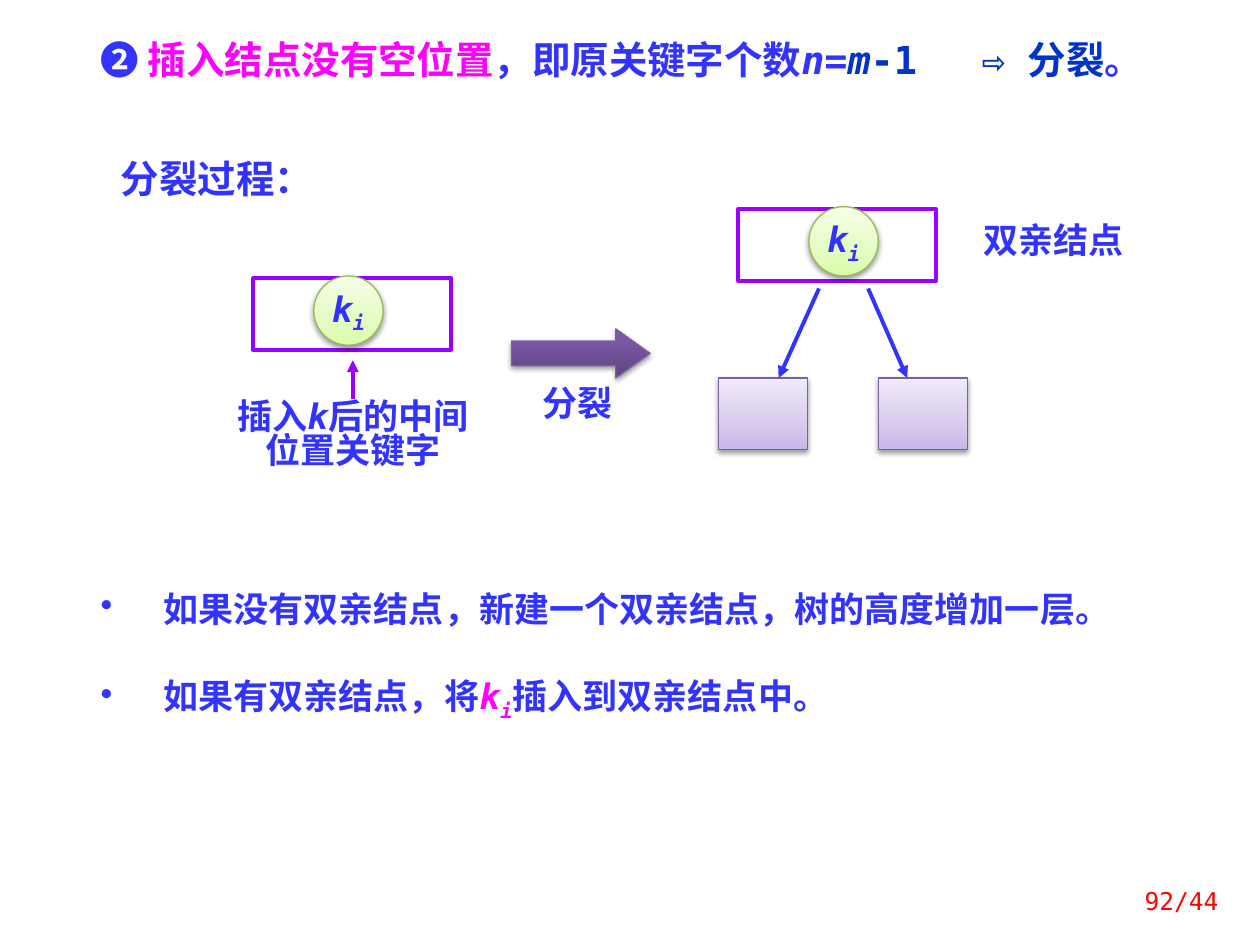
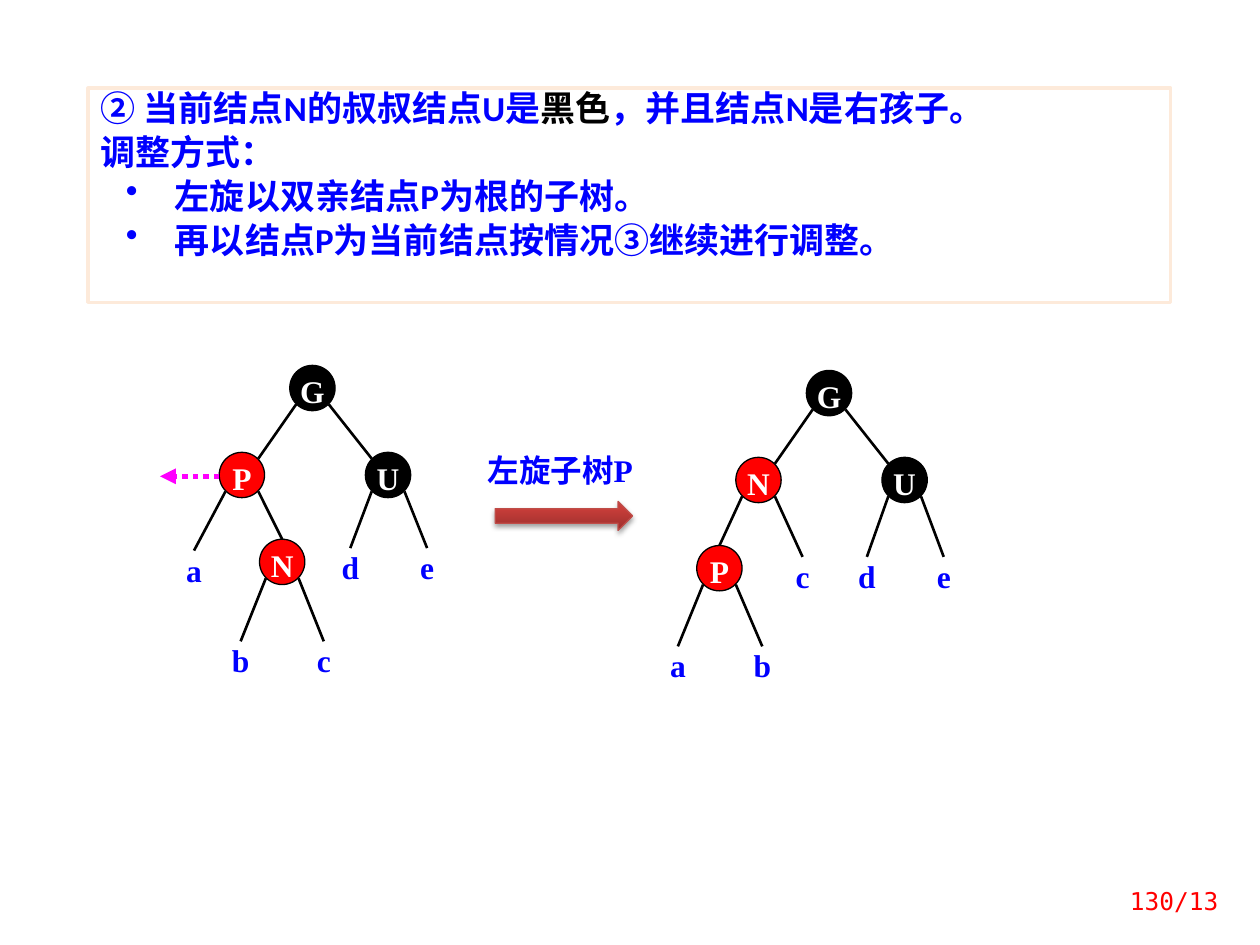
import copy
import dataclasses

import lxml.etree
import pptx
import pptx.dml.color
import pptx.enum.dml
import pptx.enum.shapes
import pptx.enum.text
import pptx.oxml.ns
import pptx.util

SHAPES = pptx.enum.shapes.MSO_SHAPE
ALIGN = pptx.enum.text.PP_ALIGN
ANCHOR = pptx.enum.text.MSO_ANCHOR
qn = pptx.oxml.ns.qn

# The slide is a grid of 100 columns by 75 rows of square cells
WIDTH, HEIGHT, COLUMNS = pptx.util.Inches(10), pptx.util.Inches(7.5), 100


@dataclasses.dataclass(frozen=True)
class Style:
    font: str
    size: int
    color: str
    bold: bool = True
    italic: bool = False
    baseline: int = 0


@dataclasses.dataclass(frozen=True)
class Theme:
    white: str = "FFFFFF"
    black: str = "000000"
    red: str = "FF0000"
    magenta: str = "FF00FF"
    indigo: str = "3333FF"
    navy: str = "0033CC"
    violet: str = "9900FF"
    plum: str = "7D60A0"
    peach: str = "FDEADA"
    heading: Style = Style("DejaVu Sans Mono", 22, "3333FF")
    body: Style = Style("DejaVu Sans Mono", 20, "3333FF")
    rule: Style = Style("Calibri", 20, "0000FF")
    label: Style = Style("Times New Roman", 18, "0000FF")
    page: Style = Style("DejaVu Sans Mono", 14, "FF0000", bold=False)
    # Gradient stops: position and colour, from bottom to top
    key_fill: tuple = ((0, "DAFDA7"), (0.35, "E4FCC2"), (1, "F5FFE7"))
    child_fill: tuple = ((0, "C9B5E8"), (0.35, "D8CBEE"), (1, "F0EAF9"))
    split_fill: tuple = ((0, "5F4480"), (0.8, "7B58A6"), (1, "7C57A8"))
    rotate_fill: tuple = ((0, "9C2F2D"), (0.8, "CB3E3A"), (1, "CE3B37"))


THEME = Theme()


@dataclasses.dataclass(frozen=True)
class Node:
    """A tree node, placed relative to its parent; a leaf has no fill."""
    name: str
    across: float
    down: float
    fill: str = ""
    children: tuple = ()


def grid(*cells):
    return [round(WIDTH / COLUMNS * cell) for cell in cells]


def rgb(color):
    return pptx.dml.color.RGBColor.from_string(color)


# Text
def add_runs(paragraph, runs, style):
    for text, changes in runs:
        look = dataclasses.replace(style, **changes)
        run = paragraph.add_run()
        run.text = text
        run.font.name, run.font.size = look.font, pptx.util.Pt(look.size)
        run.font.bold, run.font.italic = look.bold, look.italic
        run.font.color.rgb = rgb(look.color)
        if look.baseline:
            run.font._element.set("baseline", str(look.baseline * 1000))


def add_paragraph(frame, runs, style, align=ALIGN.LEFT, spacing=0.8, before=0,
                  hanging=None, tab=None):
    first = frame.paragraphs[0]
    paragraph = frame.add_paragraph() if first.runs else first
    properties = paragraph._p.get_or_add_pPr()
    if hanging:
        margin, indent = grid(*hanging)
        properties.set("marL", str(margin))
        properties.set("indent", str(-indent))
        lxml.etree.SubElement(properties, qn("a:buChar"), char="•")
    if tab:
        tabs = lxml.etree.SubElement(properties, qn("a:tabLst"))
        lxml.etree.SubElement(tabs, qn("a:tab"), pos=str(grid(tab)[0]), algn="l")
    paragraph.alignment, paragraph.line_spacing = align, spacing
    paragraph.space_before = pptx.util.Pt(before if paragraph is not first else 0)
    add_runs(paragraph, runs, style)


def prepare_frame(shape, anchor=ANCHOR.TOP, wrap=True, inset=True):
    frame = shape.text_frame
    frame.word_wrap, frame.vertical_anchor = wrap, anchor
    if not inset:
        frame.margin_left = frame.margin_right = 0
        frame.margin_top = frame.margin_bottom = 0
    return frame


def add_text(slide, place, runs, style, anchor=ANCHOR.TOP, inset=True, **layout):
    frame = prepare_frame(slide.shapes.add_textbox(*grid(*place)), anchor, inset=inset)
    add_paragraph(frame, runs, style, **layout)


def add_page_number(slide, text):
    add_text(slide, (86.3, 69.5, 11.4, 4), [(text, {})], THEME.page,
             anchor=ANCHOR.MIDDLE, align=ALIGN.RIGHT, spacing=1)


# Shapes and lines
def add_box(slide, kind, place, fill, line, weight=0.75):
    shape = slide.shapes.add_shape(kind, *grid(*place))
    shape.shadow.inherit = False
    shape.fill.solid()
    shape.fill.fore_color.rgb = rgb(fill)
    shape.line.color.rgb = rgb(line)
    shape.line.width = pptx.util.Pt(weight)
    return shape


def add_glossy(slide, kind, place, stops, line):
    """A shape with an upward gradient and a soft shadow below it."""
    shape = add_box(slide, kind, place, stops[0][1], line)
    shape.fill.gradient()
    shape.fill.gradient_angle = 90
    properties = shape._element.spPr
    stop_list = properties.find(".//" + qn("a:gsLst"))
    stop_list.append(copy.deepcopy(stop_list[0]))
    for stop, (position, color) in zip(shape.fill.gradient_stops, stops):
        stop.position, stop.color.rgb = position, rgb(color)
    shadow = lxml.etree.SubElement(
        properties.find(qn("a:effectLst")), qn("a:outerShdw"),
        blurRad=str(pptx.util.Pt(3.1)), dist=str(pptx.util.Pt(1.7)),
        dir="5400000", rotWithShape="0")
    tint = lxml.etree.SubElement(shadow, qn("a:srgbClr"), val=THEME.black)
    lxml.etree.SubElement(tint, qn("a:alpha"), val="38000")
    return shape


def add_line(slide, start, end, color, weight, arrow=False, dash=None):
    connector = slide.shapes.add_connector(
        pptx.enum.shapes.MSO_CONNECTOR.STRAIGHT, *grid(*start, *end))
    connector.line.color.rgb = rgb(color)
    connector.line.width = pptx.util.Pt(weight)
    if dash:
        connector.line.dash_style = dash
    if arrow:
        lxml.etree.SubElement(connector.line._get_or_add_ln(), qn("a:tailEnd"),
                              type="triangle")
    lxml.etree.SubElement(connector._element.spPr, qn("a:effectLst"))


# Parts of the split diagram
def key_runs(**changes):
    italic = dict(changes, italic=True)
    return [("k", italic), ("i", dict(italic, baseline=-25))]


def add_key_node(slide, left, top, key_offset):
    add_box(slide, SHAPES.RECTANGLE, (left, top, 15.7, 5.7),
            THEME.white, THEME.violet, 2.25)
    key = add_glossy(slide, SHAPES.OVAL, (left + key_offset, top - 0.2, 5.5, 5.5),
                     THEME.key_fill, "98B955")
    add_paragraph(prepare_frame(key, ANCHOR.MIDDLE, wrap=False), key_runs(),
                  THEME.body, ALIGN.CENTER)


# Parts of the rotation diagram
def add_tree(slide, node, x, y):
    """Draw a subtree: circles are placed by centre, leaves by top centre."""
    radius, shoulder = 1.8, 1.3
    if not node.fill:
        add_text(slide, (x - 0.95, y, 1.9, 2.6), [(node.name, {})], THEME.label,
                 inset=False, align=ALIGN.CENTER, spacing=1)
        return
    circle = add_box(slide, SHAPES.OVAL,
                     (x - radius, y - radius, 2 * radius, 2 * radius),
                     node.fill, THEME.black)
    add_paragraph(prepare_frame(circle, inset=False),
                  [(node.name, {"color": THEME.white})], THEME.label,
                  ALIGN.CENTER, spacing=1)
    for child in node.children:
        child_x, child_y = x + child.across, y + child.down
        side = 1 if child.across > 0 else -1
        if not child.fill:
            end = child_x, child_y
        elif abs(child.across) > 4:  # wide branches meet the shoulder
            end = child_x - side * shoulder, child_y - shoulder
        else:
            end = child_x, child_y - radius
        add_line(slide, (x + side * shoulder, y + shoulder), end, THEME.black, 1.5)
        add_tree(slide, child, child_x, child_y)


def build_split_slide(presentation):
    slide = presentation.slides.add_slide(presentation.slide_layouts[5])
    title = slide.shapes.title
    title.left, title.top, title.width, title.height = grid(7, 3.1, 87.5, 4.7)
    navy = {"color": THEME.navy}
    add_paragraph(prepare_frame(title), [
        ("❷ ", {}), ("插入结点没有空位置", {"color": THEME.magenta}),
        ("，即原关键字个数", {}), ("n=", {"italic": True}),
        ("m", dict(navy, italic=True)), ("-1\t⇨ 分裂", navy), ("。", {}),
    ], THEME.heading, tab=69.9)
    add_text(slide, (8.6, 12.5, 21.9, 4.7), [("分裂过程：", {})], THEME.heading)

    # Full node before the split
    add_key_node(slide, 20.1, 22.1, 4.8)
    add_line(slide, (28, 31.7), (28, 28.6), THEME.violet, 2.25, arrow=True)
    add_text(slide, (16.6, 31.5, 22.8, 7.7),
             [("插入", {}), ("k", {"italic": True}), ("后的中间位置关键字", {})],
             THEME.body, align=ALIGN.CENTER)

    # Split arrow
    arrow = add_glossy(slide, SHAPES.RIGHT_ARROW, (40.6, 26.1, 11, 3.9),
                       THEME.split_fill, THEME.plum)
    arrow.adjustments[1] = 0.7
    add_text(slide, (42.1, 30.4, 9.4, 4.3), [("分裂", {})], THEME.body)

    # Parent with its two halves
    add_key_node(slide, 58.6, 16.6, 5.6)
    add_text(slide, (75, 17.5, 17.2, 4.4), [("双亲结点", {})], THEME.body,
             align=ALIGN.CENTER)
    for left, start, end in ((57, 65, 61.8), (69.7, 68.9, 72)):
        add_glossy(slide, SHAPES.RECTANGLE, (left, 30, 7.1, 5.7),
                   THEME.child_fill, THEME.plum)
        add_line(slide, (start, 22.9), (end, 30), THEME.indigo, 2.25, arrow=True)

    # Two cases
    cases = prepare_frame(slide.shapes.add_textbox(*grid(7, 44.5, 89.8, 11.1)))
    for runs in (
        [("如果没有双亲结点，新建一个双亲结点，树的高度增加一层。", {})],
        [("如果有双亲结点，将", {}), *key_runs(color=THEME.magenta),
         ("插入到双亲结点中。", {})],
    ):
        add_paragraph(cases, runs, THEME.body, spacing=1.5, before=12, hanging=(5, 5))
    add_page_number(slide, "92/44")


def build_rotation_slide(presentation):
    slide = presentation.slides.add_slide(presentation.slide_layouts[6])

    # Rule box
    box = add_box(slide, SHAPES.RECTANGLE, (7, 7, 85.9, 17),
                  THEME.white, THEME.peach, 2)
    frame = prepare_frame(box)
    hanging = (5.9, 3.9)
    for runs, indent in (
        ([("② 当前结点N的叔叔结点U是", {}), ("黑色", {"color": THEME.black}),
          ("，并且结点N是右孩子。", {})], None),
        ([("调整方式：", {})], None),
        ([("左旋以双亲结点P为根的子树。", {})], hanging),
        ([("再以结点P为当前结点按情况③继续进行调整。", {})], hanging),
    ):
        add_paragraph(frame, runs, THEME.rule, before=6, hanging=indent)

    # Trees before and after the rotation
    before = Node("G", 0, 0, THEME.black, (
        Node("P", -5.6, 6.9, THEME.red, (
            Node("a", -3.8, 6),
            Node("N", 3.2, 6.9, THEME.red,
                 (Node("b", -3.3, 6.3), Node("c", 3.3, 6.3))))),
        Node("U", 6, 6.9, THEME.black, (Node("d", -3, 5.8), Node("e", 3.1, 5.8)))))
    after = Node("G", 0, 0, THEME.black, (
        Node("N", -5.6, 6.9, THEME.red, (
            Node("P", -3.1, 7, THEME.red,
                 (Node("a", -3.3, 6.2), Node("b", 3.4, 6.2))),
            Node("c", 3.5, 6.1))),
        Node("U", 6, 6.9, THEME.black, (Node("d", -3, 6.1), Node("e", 3.1, 6.1)))))
    add_tree(slide, before, 24.8, 30.8)
    add_tree(slide, after, 65.8, 31.2)

    # Rotation marks
    add_line(slide, (17.4, 37.8), (12.7, 37.8), THEME.magenta, 3, arrow=True,
             dash=pptx.enum.dml.MSO_LINE.ROUND_DOT)
    add_text(slide, (38.7, 35.8, 12.8, 2.6), [("左旋子树P", {})], THEME.label,
             inset=False, spacing=1)
    add_glossy(slide, SHAPES.RIGHT_ARROW, (39.3, 39.8, 10.9, 2.3),
               THEME.rotate_fill, "BF4C48")
    add_page_number(slide, "130/13")


def main():
    presentation = pptx.Presentation()
    presentation.slide_width, presentation.slide_height = WIDTH, HEIGHT
    build_split_slide(presentation)
    build_rotation_slide(presentation)
    presentation.save("out.pptx")


if __name__ == "__main__":
    main()
